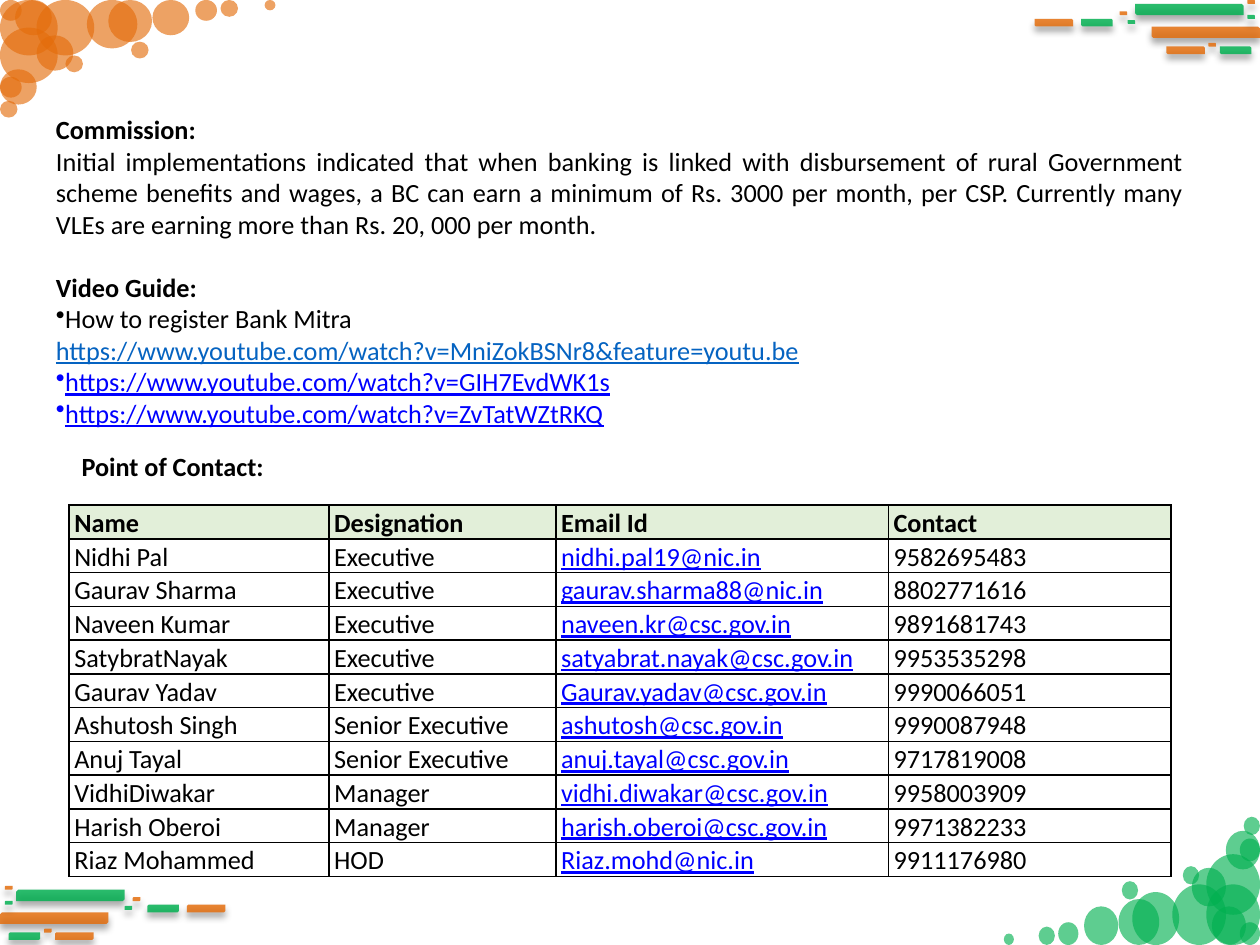
"""Build the commission, video guide and contacts slide."""
from lxml import etree
from pptx import Presentation
from pptx.dml.color import RGBColor
from pptx.enum.shapes import MSO_SHAPE
from pptx.enum.text import MSO_ANCHOR, PP_ALIGN
from pptx.oxml import parse_xml
from pptx.oxml.ns import nsdecls, qn
from pptx.util import Pt

ELLIPSE, SNIPPED = MSO_SHAPE.OVAL, MSO_SHAPE.SNIP_2_DIAG_RECTANGLE
MIDDLE, BOTTOM = MSO_ANCHOR.MIDDLE, MSO_ANCHOR.BOTTOM
JUSTIFY = PP_ALIGN.JUSTIFY
GREEN, ORANGE, BLACK, LINK = "00B050", "E46C0A", "000000", "0000FF"
WIDTH, HEIGHT = 720, 540


def write(paragraph, text, color=BLACK, bold=False, underline=False,
          bullet=False, before=0, spacing=None):
    paragraph.alignment = JUSTIFY
    if before:
        paragraph.space_before = Pt(before)
    if spacing:
        paragraph.line_spacing = spacing
    if bullet:
        properties = paragraph._p.get_or_add_pPr()
        properties.set("marL", "0")
        properties.set("indent", "0")
        etree.SubElement(properties, qn("a:buChar"), char="•")
    run = paragraph.add_run()
    run.text = text
    font = run.font
    font.name, font.size = "Calibri", Pt(15)
    font.bold, font.underline = bold, underline
    font.color.rgb = RGBColor.from_string(color)


def add_ornament(kind, left, top, width, height, color, opacity):
    shape = slide.shapes.add_shape(kind, Pt(left), Pt(top), Pt(width), Pt(height))
    shape.shadow.inherit = False
    shape.line.fill.background()
    shape.fill.solid()
    shape.fill.fore_color.rgb = RGBColor.from_string(color)
    color_element = shape._element.spPr.find(".//" + qn("a:srgbClr"))
    etree.SubElement(color_element, qn("a:alpha"), val=str(opacity * 1000))
    return shape


presentation = Presentation()
presentation.slide_width, presentation.slide_height = Pt(WIDTH), Pt(HEIGHT)
slide = presentation.slides.add_slide(presentation.slide_layouts[6])

bars = [
    (648.7, 2.2, 62, 6.5, GREEN), (658, 15.2, 62, 6.5, ORANGE),
    (617.8, 10.8, 18, 4.3, GREEN), (697, 26.6, 18, 4.3, GREEN),
    (666.5, 26.6, 22, 4.3, ORANGE), (591.2, 10.8, 22, 4.3, ORANGE),
    (639.8, 6.5, 4.3, 2.2, ORANGE), (644.4, 11.5, 4.3, 2.2, GREEN),
    (690.5, 24.5, 4.3, 2.2, ORANGE), (712.8, 8.6, 4.3, 2.2, GREEN),
    (712.8, 0, 4.3, 2.2, ORANGE),
]
for mirrored in (False, True):
    for left, top, width, height, color in bars:
        if mirrored:
            left, top = WIDTH - left - width, top + 506.2
        bar = add_ornament(SNIPPED, left, top, width, height, color, 83)
        if mirrored:
            bar._element.spPr.xfrm.set("flipH", "1")
        effects = bar._element.spPr.find(qn("a:effectLst"))
        effects.append(parse_xml(
            f'<a:outerShdw {nsdecls("a")} blurRad="{Pt(4)}" dist="{Pt(3)}" '
            'dir="5400000" rotWithShape="0"><a:srgbClr val="000000">'
            '<a:alpha val="40000"/></a:srgbClr></a:outerShdw>'))

bubbles = [
    (20.9, 0, 33), (49.7, 0, 28.8), (20.9, 20.2, 21), (61.9, 0, 25),
    (87.1, 0, 21), (8.6, 0, 21), (111.6, 0, 12.4), (0, 43.9, 12.4),
    (74.9, 23.8, 10), (37.4, 31.7, 10), (0, 57.6, 10), (151.2, 0, 6.2),
    (126, 0, 10), (0, 0, 12.4), (0, 15.8, 33), (0, 39.6, 21), (0, 0, 33),
]
for left, top, size in bubbles:
    width, height = size * 0.93, size * 1.05
    add_ornament(ELLIPSE, WIDTH - left * 0.93 - width,
                 HEIGHT - top * 1.09 - height, width, height, GREEN, 63)
for left, top, size in bubbles:
    add_ornament(ELLIPSE, left, top, size, size * 0.96, ORANGE, 63)

body = slide.shapes.add_textbox(Pt(28), Pt(61.9), Pt(652.3), Pt(185.8)).text_frame
body.word_wrap = True
body.vertical_anchor = MIDDLE
body.margin_left = body.margin_right = Pt(4)
body.margin_top = body.margin_bottom = Pt(2)
body_lines = [
    ("Commission:", {"bold": True}),
    ("Initial implementations indicated that when banking is linked with "
     "disbursement of rural Government scheme benefits and wages, a BC can earn "
     "a minimum of Rs. 3000 per month, per CSP. Currently many VLEs are earning "
     "more than Rs. 20, 000 per month.", {}),
    ("Video Guide:", {"bold": True, "before": 18}),
    ("How to register Bank Mitra", {"bullet": True}),
    ("https://www.youtube.com/watch?v=MniZokBSNr8&feature=youtu.be",
     {"color": "0563C1", "underline": True}),
    ("https://www.youtube.com/watch?v=GIH7EvdWK1s",
     {"color": LINK, "underline": True, "bullet": True}),
    ("https://www.youtube.com/watch?v=ZvTatWZtRKQ",
     {"color": LINK, "underline": True, "bullet": True}),
]
for index, (text, style) in enumerate(body_lines):
    write(body.add_paragraph() if index else body.paragraphs[0], text, **style)

contacts = [
    ("Name", "Designation", "Email Id", "Contact"),
    ("Nidhi Pal", "Executive", "nidhi.pal19@nic.in", "9582695483"),
    ("Gaurav Sharma", "Executive", "gaurav.sharma88@nic.in", "8802771616"),
    ("Naveen Kumar", "Executive", "naveen.kr@csc.gov.in", "9891681743"),
    ("SatybratNayak", "Executive", "satyabrat.nayak@csc.gov.in", "9953535298"),
    ("Gaurav Yadav", "Executive", "Gaurav.yadav@csc.gov.in", "9990066051"),
    ("Ashutosh Singh", "Senior Executive", "ashutosh@csc.gov.in", "9990087948"),
    ("Anuj Tayal", "Senior Executive", "anuj.tayal@csc.gov.in", "9717819008"),
    ("VidhiDiwakar", "Manager", "vidhi.diwakar@csc.gov.in", "9958003909"),
    ("Harish Oberoi", "Manager", "harish.oberoi@csc.gov.in", "9971382233"),
    ("Riaz Mohammed", "HOD", "Riaz.mohd@nic.in", "9911176980"),
]
column_widths = [148.5, 129.7, 190, 161.6]
row_height = 19.25
table = slide.shapes.add_table(
    len(contacts), len(column_widths), Pt(39.5), Pt(288.7),
    Pt(sum(column_widths)), Pt(row_height * len(contacts))).table
table.first_row = table.horz_banding = False
for column, width in zip(table.columns, column_widths):
    column.width = Pt(width)
for row_index, contact in enumerate(contacts):
    table.rows[row_index].height = Pt(row_height)
    header = row_index == 0
    for column_index, text in enumerate(contact):
        cell = table.cell(row_index, column_index)
        cell.margin_left = cell.margin_right = Pt(3)
        cell.margin_top = cell.margin_bottom = 0
        cell.vertical_anchor = BOTTOM if header else MIDDLE
        for side in ("lnL", "lnR", "lnT", "lnB"):
            cell._tc.get_or_add_tcPr().append(parse_xml(
                f'<a:{side} {nsdecls("a")} w="{Pt(1)}"><a:solidFill>'
                f'<a:srgbClr val="{BLACK}"/></a:solidFill></a:{side}>'))
        if header:
            cell.fill.solid()
            cell.fill.fore_color.rgb = RGBColor.from_string("E2EFD9")
        else:
            cell.fill.background()
        email = "@" in text
        write(cell.text_frame.paragraphs[0], text, color=LINK if email else BLACK,
              bold=header, underline=email, spacing=1.07)

heading = slide.shapes.add_textbox(Pt(39.5), Pt(253.5), Pt(120), Pt(25.2)).text_frame
heading.word_wrap = False
heading.vertical_anchor = MIDDLE
write(heading.paragraphs[0], "Point of Contact:", bold=True)

presentation.save("out.pptx")
